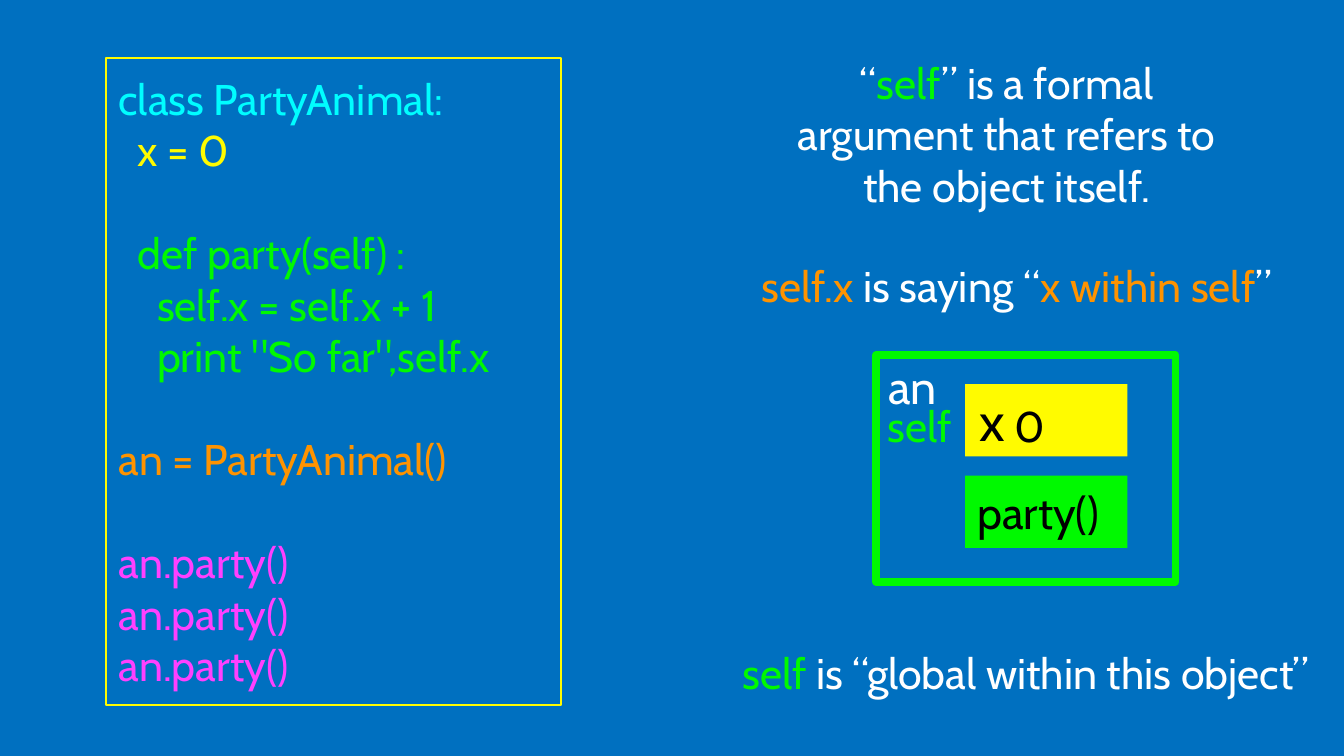
from dataclasses import dataclass
from typing import Optional

from pptx import Presentation
from pptx.dml.color import RGBColor
from pptx.enum.shapes import MSO_SHAPE
from pptx.enum.text import MSO_ANCHOR, PP_ALIGN
from pptx.util import Cm, Pt

COLOURS = {
    "background": "0070C0",
    "white": "FFFFFF",
    "black": "000000",
    "cyan": "00FDFF",
    "yellow": "FFFB00",
    "green": "00F900",
    "orange": "FF9300",
    "pink": "FF40FF",
}
FONT = "Cabin"
TEXT_SIZE = 23
BLANK_LINE = 27.6
INSET = 0.05
INDENT = 0.23


@dataclass(frozen=True)
class Run:
    text: str
    colour: str


@dataclass(frozen=True)
class Line:
    runs: tuple[Run, ...]
    space_before: float = 0


@dataclass(frozen=True)
class Box:
    left: float
    top: float
    width: float
    height: float
    lines: tuple[Line, ...]
    size: float = TEXT_SIZE
    fill: Optional[str] = None
    outline: Optional[str] = None
    outline_width: float = 1
    left_inset: float = INDENT
    anchor: MSO_ANCHOR = MSO_ANCHOR.MIDDLE
    alignment: PP_ALIGN = PP_ALIGN.LEFT


def line(*runs: tuple[str, str], space_before: float = 0) -> Line:
    return Line(tuple(Run(*run) for run in runs), space_before)


def caption(left: float, top: float, width: float, height: float,
            *runs: tuple[str, str], left_inset: float = INSET) -> Box:
    return Box(left, top, width, height, (line(*runs),),
               left_inset=left_inset, alignment=PP_ALIGN.CENTER)


CODE = Box(2.01, 1.09, 8.59, 12.24, (
    line(("class PartyAnimal:", "cyan")),
    line(("  x = 0", "yellow")),
    line(("  def party(self) :", "green"), space_before=BLANK_LINE),
    line(("    self.x = self.x + 1", "green")),
    line(("    print \"So far\",self.x", "green")),
    line(("an = PartyAnimal()", "orange"), space_before=BLANK_LINE),
    line(("an.party()", "pink"), space_before=BLANK_LINE),
    line(("an.party()", "pink")),
    line(("an.party()", "pink")),
), outline="yellow")

OBJECT_DIAGRAM = (
    Box(16.56, 6.71, 5.66, 4.29, (line(("an", "white")),), size=25,
        outline="green", outline_width=4, anchor=MSO_ANCHOR.TOP),
    Box(18.24, 7.26, 3.07, 1.37, (line(("x", "black")),), size=29,
        fill="yellow", left_inset=0.28),
    Box(18.24, 8.99, 3.07, 1.37, (line(("party()", "black")),), size=24,
        fill="green"),
)

CAPTIONS = (
    caption(19.13, 7.54, 0.56, 0.99, ("0", "black")),
    caption(14.66, 1.17, 8.74, 2.72, ("“", "white"), ("self", "green"),
            ("” is a formal argument that refers to the object itself.", "white")),
    caption(16.54, 7.54, 1.52, 0.99, ("self", "green"), left_inset=INDENT),
    caption(14.25, 4.9, 9.93, 0.99, ("self.x", "orange"),
            (" is saying “", "white"), ("x within self", "orange"), ("”", "white")),
    caption(13.97, 11.79, 10.85, 1.85, ("self", "green"),
            (" is “global within this object”", "white")),
)


def colour(name: str) -> RGBColor:
    return RGBColor.from_string(COLOURS[name])


def write_text(shape, box: Box) -> None:
    frame = shape.text_frame
    frame.word_wrap = True
    frame.vertical_anchor = box.anchor
    frame.margin_left = Cm(box.left_inset)
    frame.margin_right = frame.margin_top = frame.margin_bottom = Cm(INSET)
    for index, text_line in enumerate(box.lines):
        paragraph = frame.add_paragraph() if index else frame.paragraphs[0]
        paragraph.alignment = box.alignment
        paragraph.space_before = Pt(text_line.space_before)
        for text_run in text_line.runs:
            run = paragraph.add_run()
            run.text = text_run.text
            run.font.name = FONT
            run.font.size = Pt(box.size)
            run.font.color.rgb = colour(text_run.colour)


def draw_rectangle(shapes, box: Box) -> None:
    shape = shapes.add_shape(MSO_SHAPE.RECTANGLE, Cm(box.left), Cm(box.top),
                             Cm(box.width), Cm(box.height))
    shape.shadow.inherit = False
    if box.fill:
        shape.fill.solid()
        shape.fill.fore_color.rgb = colour(box.fill)
    else:
        shape.fill.background()
    if box.outline:
        shape.line.color.rgb = colour(box.outline)
        shape.line.width = Pt(box.outline_width)
    else:
        shape.line.fill.background()
    write_text(shape, box)


def draw_caption(shapes, box: Box) -> None:
    shape = shapes.add_textbox(Cm(box.left), Cm(box.top),
                               Cm(box.width), Cm(box.height))
    write_text(shape, box)


def main() -> None:
    presentation = Presentation()
    presentation.slide_width = Cm(25.4)
    presentation.slide_height = Cm(14.29)
    slide = presentation.slides.add_slide(presentation.slide_layouts[6])
    slide.background.fill.solid()
    slide.background.fill.fore_color.rgb = colour("background")

    draw_rectangle(slide.shapes, CODE)
    diagram = slide.shapes.add_group_shape()
    for box in OBJECT_DIAGRAM:
        draw_rectangle(diagram.shapes, box)
    for box in CAPTIONS:
        draw_caption(slide.shapes, box)
    presentation.save("out.pptx")


if __name__ == "__main__":
    main()
